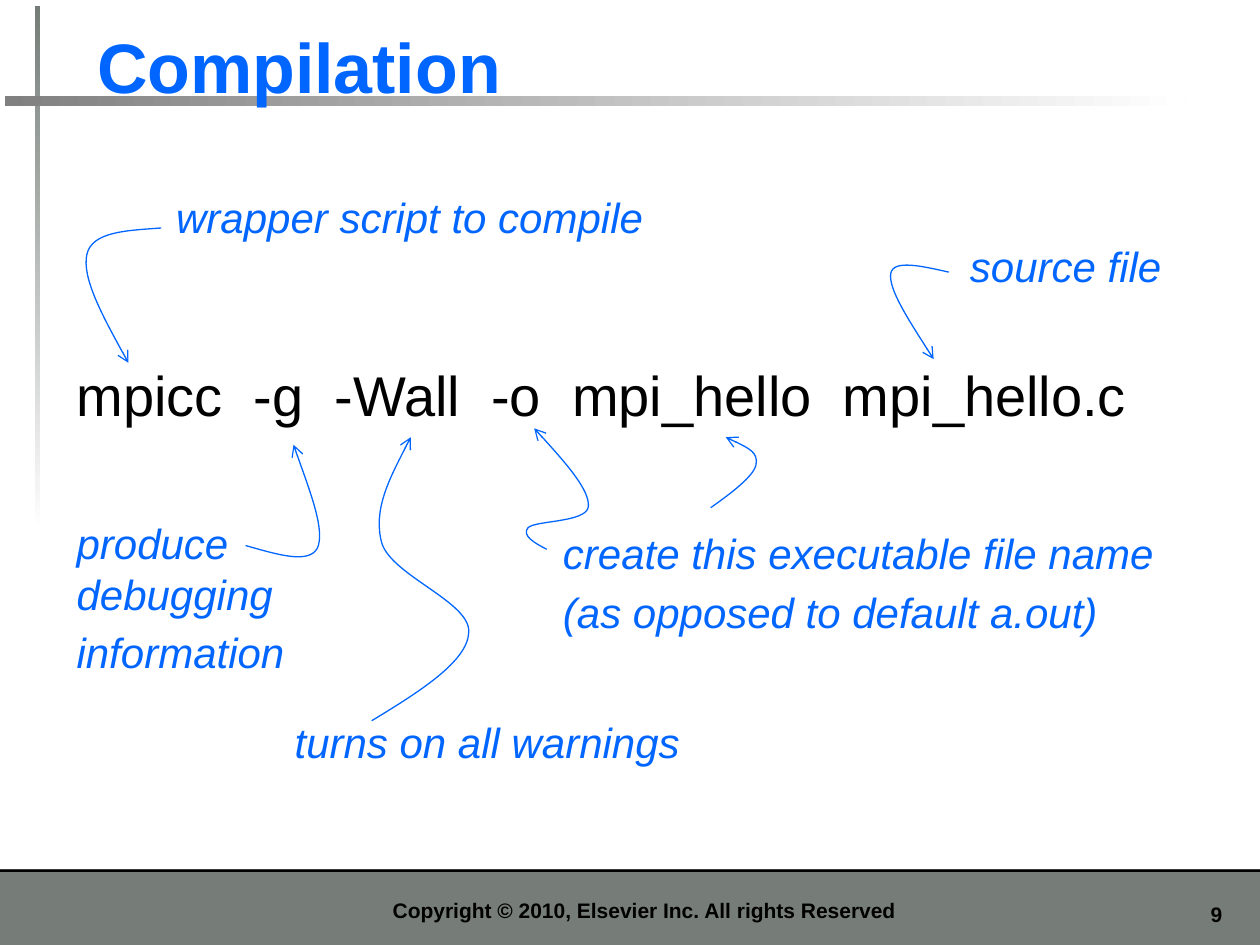
from typing import NamedTuple

from lxml import etree
from pptx import Presentation, util as u
from pptx.dml.color import RGBColor
from pptx.enum import shapes, text
from pptx.oxml.ns import qn

SCALE = 9144  # EMU per px, 100 px to the inch
BLUE, BLACK, WHITE, GREY = "0066FF", "000000", "FFFFFF", "767D79"


class Box(NamedTuple):
    x: int
    y: int
    w: int
    h: int


class Bar(NamedTuple):
    box: Box
    color: str
    angle: int | None = None  # set for a fade to white


class Label(NamedTuple):
    box: Box
    lines: list[str]
    size: int = 24
    color: str = BLUE
    bold: bool = False
    italic: bool = True
    align: text.PP_ALIGN = text.PP_ALIGN.LEFT
    anchor: text.MSO_ANCHOR = text.MSO_ANCHOR.TOP
    wrap: bool = False


BARS = [
    Bar(Box(0, 690, 1000, 60), GREY),
    Bar(Box(0, 690, 1000, 2), BLACK),
    Bar(Box(28, 5, 4, 417), GREY, 270),
    Bar(Box(4, 76, 937, 8), "808080", 0),
]

TITLE = Label(Box(67, 13, 906, 77), ["Compilation"], 40, bold=True,
              italic=False, anchor=text.MSO_ANCHOR.BOTTOM, wrap=True)

LABELS = [
    Label(Box(917, 711, 63, 30), ["9"], 12, BLACK, True, False,
          text.PP_ALIGN.RIGHT, wrap=True),
    Label(Box(114, 698, 795, 39),
          ["Copyright © 2010, Elsevier Inc. All rights Reserved"], 12, BLACK,
          True, False, text.PP_ALIGN.CENTER, text.MSO_ANCHOR.BOTTOM, True),
    Label(Box(51, 281, 898, 64),
          ["mpicc  -g  -Wall  -o  mpi_hello  mpi_hello.c"], 32, BLACK,
          italic=False, wrap=True),
    Label(Box(130, 147, 404, 50), ["wrapper script to compile"]),
    Label(Box(224, 564, 329, 50), ["turns on all warnings"]),
    Label(Box(760, 186, 174, 51), ["source file"]),
    Label(Box(437, 414, 494, 99),
          ["create this executable file name",
           "(as opposed to default a.out)"]),
    Label(Box(51, 406, 187, 139), ["produce\vdebugging", "information"]),
]

# Each arrow: its start, then two handles and an end point per curve.
ARROWS = [
    [(128, 181), (100, 183), (73, 184), (69, 202),
     (65, 220), (83, 254), (102, 288)],
    [(753, 216), (731, 211), (709, 206), (707, 217),
     (705, 229), (723, 257), (741, 285)],
    [(195, 433), (220, 440), (245, 448), (252, 435),
     (258, 421), (245, 387), (233, 353)],
    [(295, 572), (333, 549), (371, 525), (372, 502), (374, 478),
     (311, 457), (303, 431), (296, 405), (311, 376), (326, 347)],
    [(564, 403), (581, 391), (598, 378), (600, 369),
     (602, 359), (589, 353), (576, 347)],
    [(434, 436), (424, 431), (414, 425), (419, 419), (424, 413),
     (466, 415), (467, 402), (468, 389), (446, 364), (424, 340)],
]


def px(n: int) -> u.Emu:
    return u.Emu(n * SCALE)


def rgb(code: str) -> RGBColor:
    return RGBColor.from_string(code)


def draw_bar(slide, bar: Bar) -> None:
    shape = slide.shapes.add_shape(shapes.MSO_SHAPE.RECTANGLE,
                                   *map(px, bar.box))
    shape.shadow.inherit = False
    shape.line.fill.background()
    if bar.angle is None:
        shape.fill.solid()
        shape.fill.fore_color.rgb = rgb(bar.color)
        return
    shape.fill.gradient()
    shape.fill.gradient_angle = bar.angle
    for stop, code in zip(shape.fill.gradient_stops, (bar.color, WHITE)):
        stop.color.rgb = rgb(code)


def set_text(shape, label: Label) -> None:
    frame = shape.text_frame
    frame.text = "\n".join(label.lines)
    frame.word_wrap = label.wrap
    frame.auto_size = text.MSO_AUTO_SIZE.NONE
    frame.vertical_anchor = label.anchor
    for i, para in enumerate(frame.paragraphs):
        para.alignment = label.align
        if i:
            para.space_before = u.Pt(label.size * 0.2)
        for run in para.runs:
            font = run.font
            font.name, font.size = "Arial", u.Pt(label.size)
            font.bold, font.italic = label.bold, label.italic
            font.color.rgb = rgb(label.color)


def draw_title(slide, label: Label) -> None:
    """Fill the title and bring it in front of the bars."""
    title = slide.shapes.title
    title.left, title.top, title.width, title.height = map(px, label.box)
    set_text(title, label)
    slide.shapes._spTree.append(title._element)


def draw_label(slide, label: Label) -> None:
    set_text(slide.shapes.add_textbox(*map(px, label.box)), label)


def bend(shape) -> None:
    """Turn each three line segments into one cubic curve."""
    lines = list(shape._element.iter(qn("a:lnTo")))
    for k in range(0, len(lines), 3):
        curve = etree.Element(qn("a:cubicBezTo"))
        lines[k].addprevious(curve)
        for line in lines[k:k + 3]:
            curve.append(line[0])
            line.getparent().remove(line)


def draw_arrow(slide, nodes: list[tuple[int, int]]) -> None:
    pen = slide.shapes.build_freeform(*nodes[0], scale=SCALE)
    pen.add_line_segments(nodes[1:], close=False)
    shape = pen.convert_to_shape()
    bend(shape)
    shape.shadow.inherit = False
    shape.fill.background()
    shape.line.color.rgb = rgb(BLUE)
    shape.line.width = u.Pt(0.75)
    etree.SubElement(shape.line._get_or_add_ln(), qn("a:tailEnd"),
                     type="arrow")


def main() -> None:
    deck = Presentation()
    deck.slide_width, deck.slide_height = px(1000), px(750)
    slide = deck.slides.add_slide(deck.slide_layouts.get_by_name("Title Only"))
    for bar in BARS:
        draw_bar(slide, bar)
    draw_title(slide, TITLE)
    for label in LABELS:
        draw_label(slide, label)
    for nodes in ARROWS:
        draw_arrow(slide, nodes)
    deck.save("out.pptx")


if __name__ == "__main__":
    main()
